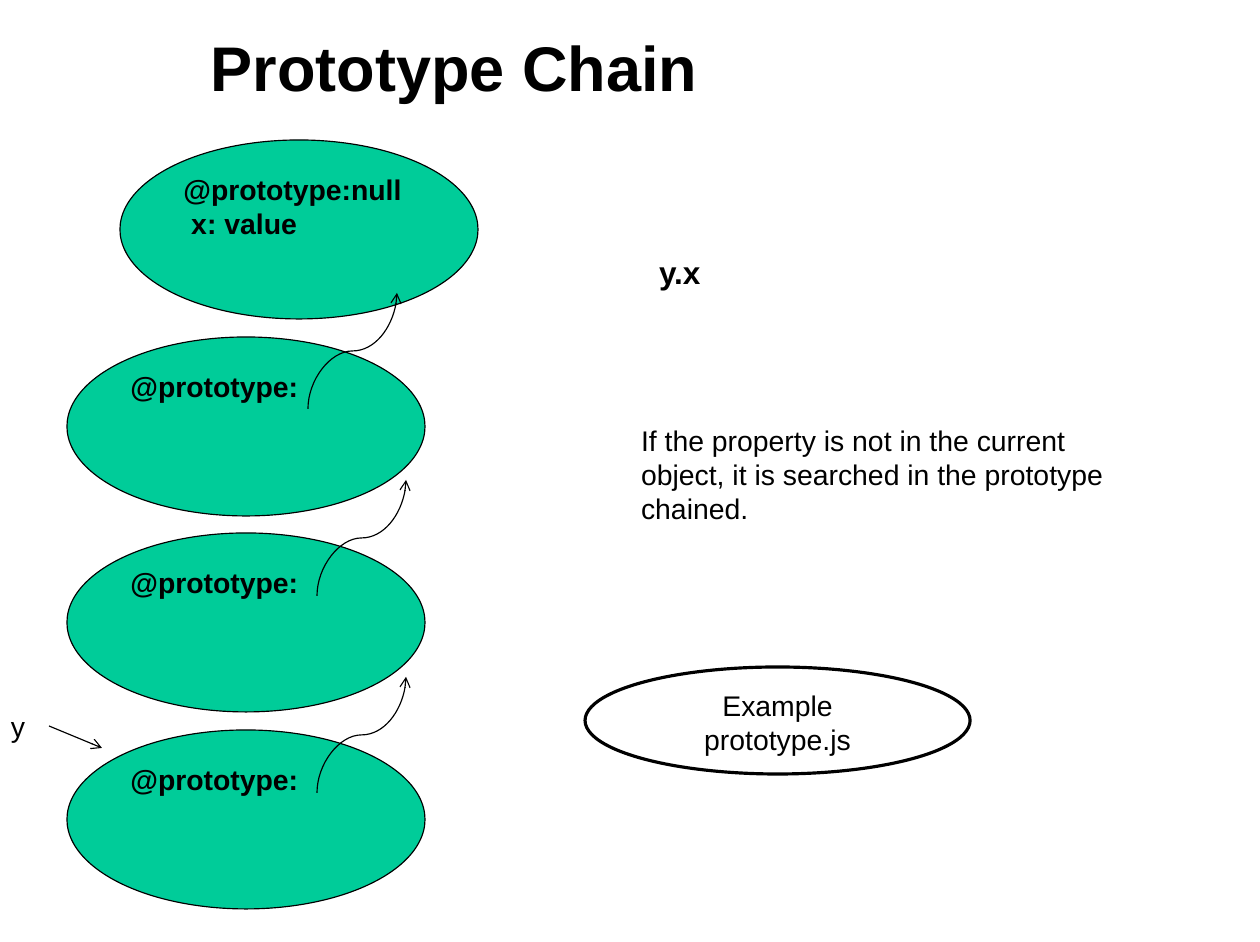
"""Build the Prototype Chain slide."""
from lxml.etree import SubElement
from pptx import Presentation
from pptx.dml.color import RGBColor
from pptx.enum.shapes import MSO_CONNECTOR as Connector, MSO_SHAPE as Shape
from pptx.enum.text import MSO_ANCHOR as Anchor, PP_ALIGN as Align
from pptx.oxml.ns import qn
from pptx.util import Inches, Pt

BLACK = RGBColor(0, 0, 0)
WHITE = RGBColor(255, 255, 255)
GREEN = RGBColor(0, 204, 153)
PX = Inches(1) / 113.5

OBJECTS = [
    (120, 140, ["@prototype:null", " x: value"]),
    (67, 337, ["@prototype:"]),
    (67, 533, ["@prototype:"]),
    (67, 730, ["@prototype:"]),
]
OBJECT_SIZE = (358, 179)
CHAIN_STARTS = [(308, 409), (317, 596), (317, 793)]
CHAIN_RUN, CHAIN_RISE = 89, 116
POINTER = (49, 726, 102, 748)
LABELS = [
    ((199, 9, 1041, 114), ["Prototype Chain"], dict(size=40, bold=True, anchor=Anchor.MIDDLE, inset=12)),
    ((0, 704, 49, 45), ["y"], {}),
    ((648, 247, 385, 50), ["y.x"], dict(size=20, bold=True)),
    (
        (630, 418, 501, 115),
        ["If the property is not in the current object, it is searched in the prototype chained."],
        {},
    ),
]
EXAMPLE = ((585, 667, 385, 107), ["Example prototype.js"])


def emu(*lengths):
    return [round(length * PX) for length in lengths]


def write(shape, lines, size=18, bold=False, align=Align.LEFT, anchor=Anchor.TOP, inset=11):
    frame = shape.text_frame
    frame.word_wrap = True
    frame.vertical_anchor = anchor
    frame.margin_left, frame.margin_right = emu(inset, inset)
    frame.text = "\n".join(lines)
    for paragraph in frame.paragraphs:
        paragraph.alignment = align
        font = paragraph.font
        font.name, font.size, font.bold = "Arial", Pt(size), bold
        font.color.rgb = BLACK


def add_ellipse(slide, box, fill, line_width, lines, **text_format):
    ellipse = slide.shapes.add_shape(Shape.OVAL, *emu(*box))
    ellipse.shadow.inherit = False
    ellipse.fill.solid()
    ellipse.fill.fore_color.rgb = fill
    ellipse.line.color.rgb = BLACK
    ellipse.line.width = Pt(line_width)
    write(ellipse, lines, **text_format)


def add_arrow(slide, kind, ends):
    arrow = slide.shapes.add_connector(kind, *emu(*ends))
    arrow.line.color.rgb = BLACK
    arrow.line.width = Pt(0.75)
    SubElement(arrow.line._get_or_add_ln(), qn("a:tailEnd"), type="arrow")
    SubElement(arrow._element.spPr, qn("a:effectLst"))
    return arrow


def add_chain_arrow(slide, x, y):
    """Draw a curve that leaves upwards: a flat one turned a quarter about its centre."""
    center_x, center_y = x + CHAIN_RUN / 2, y - CHAIN_RISE / 2
    half_width, half_height = CHAIN_RISE / 2, CHAIN_RUN / 2
    ends = (
        center_x + half_width, center_y + half_height,
        center_x - half_width, center_y - half_height,
    )
    arrow = add_arrow(slide, Connector.CURVE, ends)
    arrow._element.spPr.find(qn("a:xfrm")).set("rot", str(90 * 60000))


def main():
    presentation = Presentation()
    presentation.slide_width, presentation.slide_height = Inches(11.1), Inches(8.3)
    slide = presentation.slides.add_slide(presentation.slide_layouts[6])

    for left, top, lines in OBJECTS:
        add_ellipse(slide, (left, top, *OBJECT_SIZE), GREEN, 0.75, lines, bold=True)
    for x, y in CHAIN_STARTS:
        add_chain_arrow(slide, x, y)
    add_arrow(slide, Connector.STRAIGHT, POINTER)
    for box, lines, text_format in LABELS:
        write(slide.shapes.add_textbox(*emu(*box)), lines, **text_format)
    box, lines = EXAMPLE
    add_ellipse(slide, box, WHITE, 2, lines, align=Align.CENTER)

    presentation.save("out.pptx")


if __name__ == "__main__":
    main()
